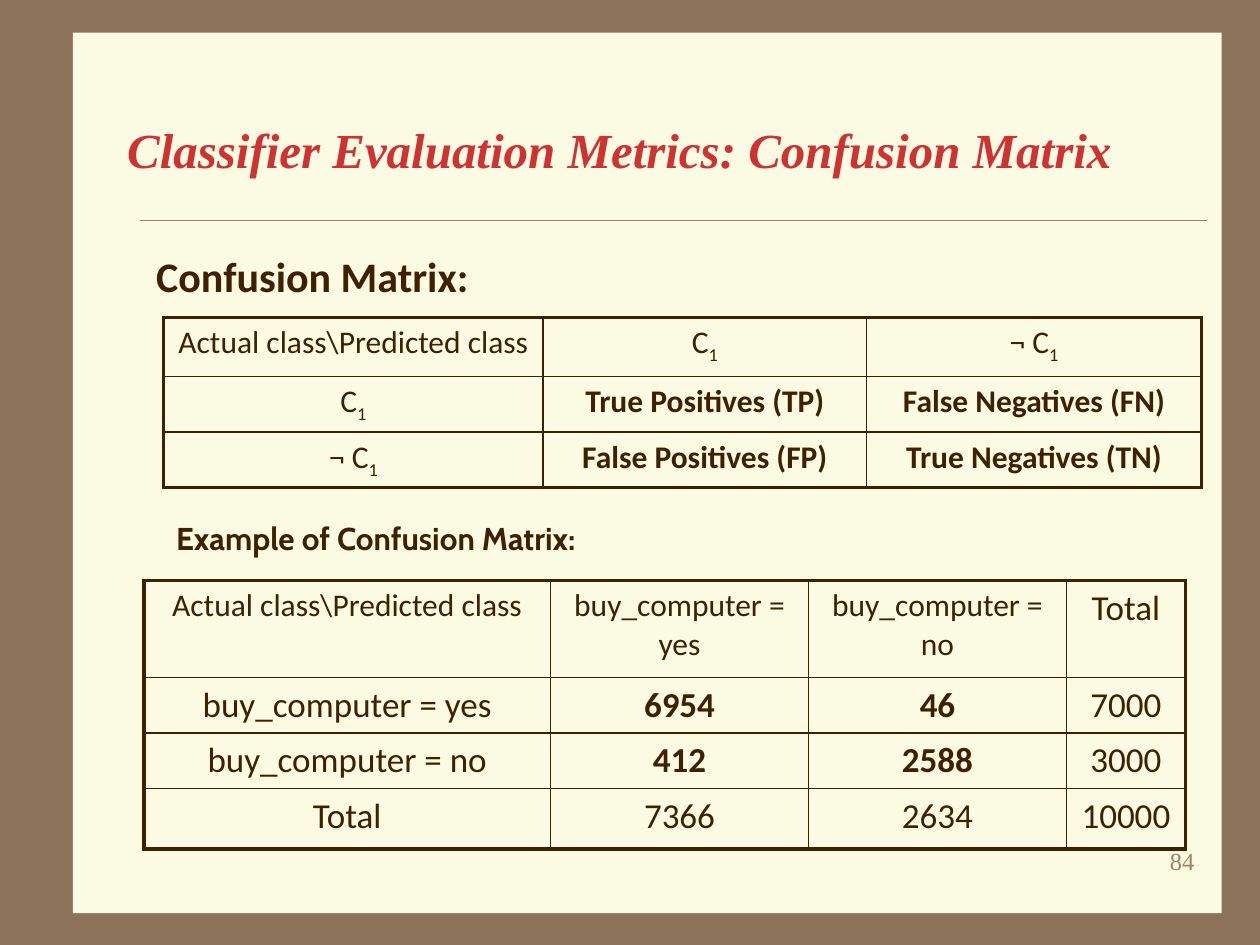
from lxml import etree
from pptx import Presentation
from pptx.dml.color import RGBColor
from pptx.enum.shapes import MSO_CONNECTOR, MSO_SHAPE
from pptx.enum.text import MSO_ANCHOR, MSO_AUTO_SIZE, PP_ALIGN
from pptx.oxml.ns import qn
from pptx.util import Cm, Pt

LEFT, CENTER, RIGHT = PP_ALIGN.LEFT, PP_ALIGN.CENTER, PP_ALIGN.RIGHT
MIDDLE, NO_FIT = MSO_ANCHOR.MIDDLE, MSO_AUTO_SIZE.NONE
RECTANGLE, STRAIGHT = MSO_SHAPE.RECTANGLE, MSO_CONNECTOR.STRAIGHT

BROWN = RGBColor(0x8C, 0x73, 0x5A)
CREAM = RGBColor(0xFB, 0xFA, 0xE2)
TAN = RGBColor(0xA0, 0x83, 0x66)
RED = RGBColor(0xCD, 0x33, 0x33)
DARK = RGBColor(0x40, 0x20, 0x00)
SERIF, SANS = "Times New Roman", "Calibri"

# Content; lengths in centimetres
TITLE = "Classifier Evaluation Metrics: Confusion Matrix"
LABELS = [  # text, box, font, size, colour, bold, alignment
    ("Confusion Matrix:", (2.9, 4.93, 7.24, 1.27), SANS, 24, DARK, True, LEFT),
    ("Example of Confusion Matrix:", (3.3, 10.34, 9.9, 1.02), "Cabin", 18, DARK, True, LEFT),
    ("84", (19.05, 16.94, 5.28, 1.27), SERIF, 14, TAN, False, RIGHT),
]
CORNER = "Actual class\\Predicted class"
DEFINITION = {
    "origin": (3.3, 6.4),
    "columns": [7.65, 6.52, 6.75],
    "heights": [1.19, 1.07, 1.02],
    "body_size": 18,
    "cells": [
        [CORNER, "C1", "¬ C1"],
        ["C1", "True Positives (TP)", "False Negatives (FN)"],
        ["¬ C1", "False Positives (FP)", "True Negatives (TN)"],
    ],
}
EXAMPLE = {
    "origin": (2.9, 11.7),
    "columns": [8.2, 5.2, 5.2, 2.4],
    "heights": [1.96, 1.09, 1.09, 1.22],
    "body_size": 20,
    "cells": [
        [CORNER, "buy_computer = yes", "buy_computer = no", "Total"],
        ["buy_computer = yes", "6954", "46", "7000"],
        ["buy_computer = no", "412", "2588", "3000"],
        ["Total", "7366", "2634", "10000"],
    ],
}


def style(run, font, size, color, bold=False, italic=False):
    run.font.name, run.font.size = font, Pt(size)
    run.font.bold, run.font.italic = bold, italic
    run.font.color.rgb = color


def set_borders(cell, outer_sides):
    """Heavy line on the outer sides, thin line on the others."""
    properties = cell._tc.get_or_add_tcPr()
    for side, is_outer in outer_sides.items():
        width = Pt(2.25 if is_outer else 1)
        line = etree.SubElement(properties, qn(f"a:ln{side}"), w=str(int(width)))
        fill = etree.SubElement(line, qn("a:solidFill"))
        etree.SubElement(fill, qn("a:srgbClr"), val=str(DARK))


def fill_cell(cell, text, size, bold):
    paragraph = cell.text_frame.paragraphs[0]
    paragraph.alignment = CENTER
    has_index = text.endswith("C1")
    for part in (text[:-1], text[-1]) if has_index else (text,):
        run = paragraph.add_run()
        run.text = part
        style(run, SANS, size, DARK, bold)
    if has_index:
        run.font._element.set("baseline", "-25000")


def add_matrix(slide, matrix):
    cells, widths, heights = matrix["cells"], matrix["columns"], matrix["heights"]
    last_row, last_column = len(heights) - 1, len(widths) - 1
    left, top = matrix["origin"]
    table = slide.shapes.add_table(len(heights), len(widths), Cm(left), Cm(top),
                                   Cm(sum(widths)), Cm(sum(heights))).table
    table.first_row = table.horz_banding = False
    for column, width in zip(table.columns, widths):
        column.width = Cm(width)
    for row, height in zip(table.rows, heights):
        row.height = Cm(height)
    for r, texts in enumerate(cells):
        for c, text in enumerate(texts):
            cell = table.cell(r, c)
            is_label = r == 0 and text != "Total"
            is_outcome = r in (1, 2) and c in (1, 2)
            fill_cell(cell, text, 18 if is_label else matrix["body_size"], is_outcome)
            set_borders(cell, {"L": c == 0, "R": c == last_column,
                               "T": r == 0, "B": r == last_row})
            cell.fill.background()


def add_label(slide, text, box, font, size, color, bold, alignment):
    frame = slide.shapes.add_textbox(*map(Cm, box)).text_frame
    frame.word_wrap = True
    frame.text = text
    frame.paragraphs[0].alignment = alignment
    style(frame.paragraphs[0].runs[0], font, size, color, bold)


def main():
    deck = Presentation()
    deck.slide_width, deck.slide_height = Cm(25.4), Cm(19.05)
    slide = deck.slides.add_slide(deck.slide_layouts[5])

    # Brown frame, cream page behind everything, rule below the title
    slide.background.fill.solid()
    slide.background.fill.fore_color.rgb = BROWN
    page = slide.shapes.add_shape(RECTANGLE, Cm(1.47), Cm(0.66), Cm(23.16), Cm(17.75))
    page.shadow.inherit = False
    page.fill.solid()
    page.fill.fore_color.rgb = CREAM
    page.line.fill.background()
    slide.shapes._spTree.insert(2, page._element)
    rule = slide.shapes.add_connector(STRAIGHT, Cm(2.82), Cm(4.44), Cm(24.33), Cm(4.44))
    rule.line.color.rgb = TAN
    rule.line.width = Pt(0.25)
    etree.SubElement(rule._element.spPr, qn("a:effectLst"))

    # Title
    title = slide.shapes.title
    title.left, title.top, title.width, title.height = map(Cm, (2.31, 1.42, 21.92, 3.18))
    heading = title.text_frame
    heading.text = TITLE
    heading.vertical_anchor, heading.auto_size = MIDDLE, NO_FIT
    heading.paragraphs[0].alignment = LEFT
    style(heading.paragraphs[0].runs[0], SERIF, 28, RED, bold=True, italic=True)

    # Tables, their captions and the page number
    for matrix in (DEFINITION, EXAMPLE):
        add_matrix(slide, matrix)
    for label in LABELS:
        add_label(slide, *label)

    deck.save("out.pptx")


if __name__ == "__main__":
    main()
